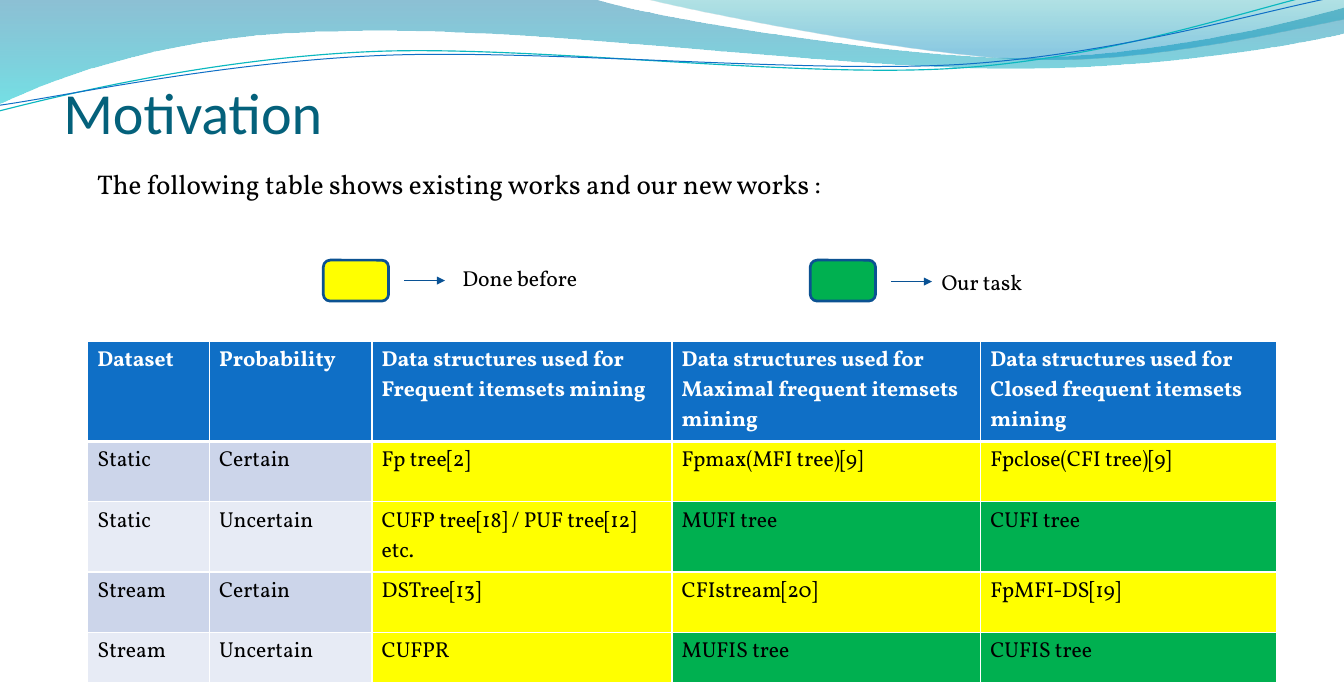
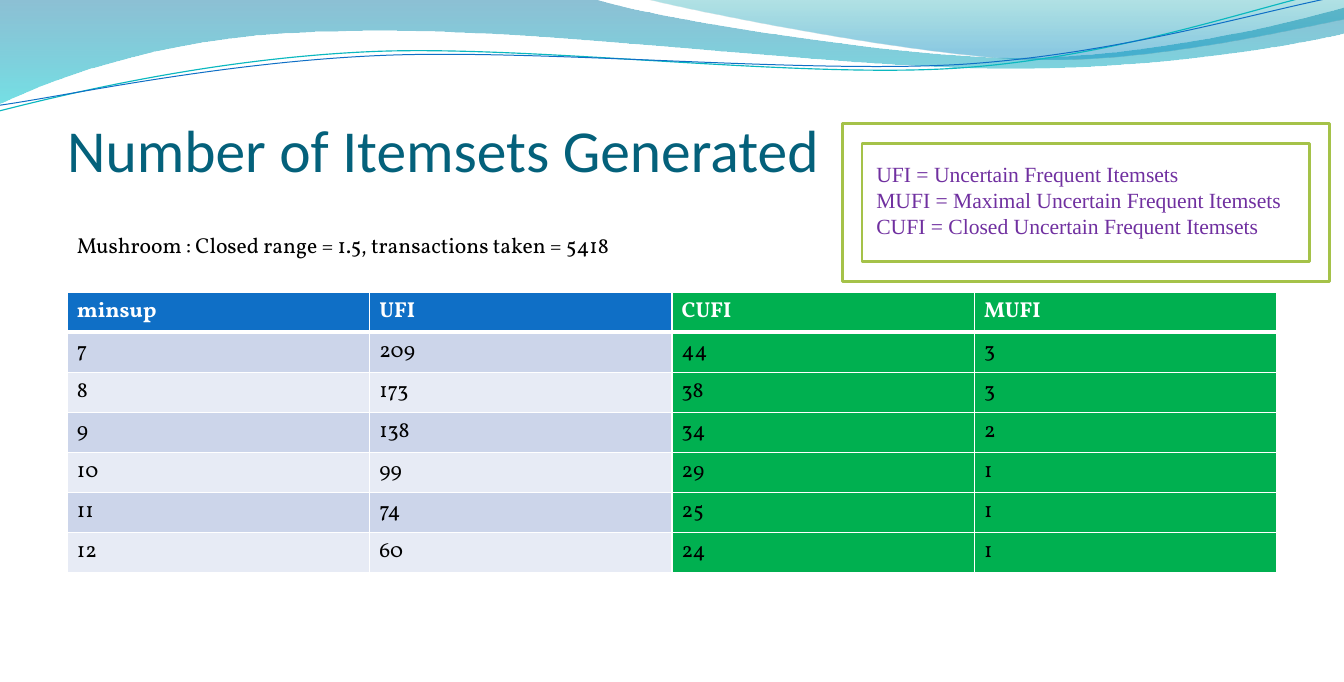
import lxml.etree
import pptx
import pptx.util
from pptx.dml.color import RGBColor
from pptx.enum.shapes import MSO_CONNECTOR, MSO_SHAPE
from pptx.enum.text import MSO_ANCHOR, MSO_AUTO_SIZE
from pptx.oxml.ns import qn

PX = 9144  # 100 px to the inch
SLIDE_W, SLIDE_H = 1380, 700

WHITE = RGBColor(0xFF, 0xFF, 0xFF)
BLACK = RGBColor(0x00, 0x00, 0x00)
TITLE_TEAL = RGBColor(0x04, 0x61, 0x7B)
HEADER_BLUE = RGBColor(0x0F, 0x6F, 0xC6)
WAVE_TEAL = RGBColor(0x0A, 0xB8, 0xBF)
BAND_BLUE = RGBColor(0x00, 0x74, 0xA1)
BAND_CYAN = RGBColor(0x00, 0xC6, 0xCF)
CORNER_TEAL = RGBColor(0x00, 0xA1, 0xA9)
CORNER_BLUE = RGBColor(0x00, 0x8B, 0xBF)
ROW_DARK = RGBColor(0xCC, 0xD5, 0xEA)
ROW_LIGHT = RGBColor(0xE7, 0xEB, 0xF5)
DONE_YELLOW = RGBColor(0xFF, 0xFF, 0x00)
TASK_GREEN = RGBColor(0x00, 0xB0, 0x50)
SWATCH_EDGE = RGBColor(0x0B, 0x52, 0x92)
ARROW_BLUE = RGBColor(0x09, 0x52, 0x95)
FRAME_GREEN = RGBColor(0xA5, 0xC2, 0x49)
PURPLE = RGBColor(0x70, 0x30, 0xA0)

TITLE_FONT, BODY_FONT, KEY_FONT = "Calibri", "Vollkorn", "Times New Roman"

# Outlines: a start point, then lines (one point) and Bézier curves (three points).
WIDE_BAND = [
    [(0, 0)],
    [(608, -1)],
    [(656, 16), (916, 59), (1047, 59)],
    [(1177, 59), (1323, 24), (1380, 8)],
    [(1381, 34)],
    [(1357, 41), (1200, 71), (1029, 70)],
    [(858, 70), (527, 26), (355, 32)],
    [(178, 33), (63, 77), (-1, 106)],
    [(0, 0)],
]
CORNER_BAND = [
    [(661, -1)],
    [(703, 10), (941, 58), (1061, 61)],
    [(1181, 64), (1327, 30), (1380, 20)],
    [(1380, 0)],
    [(661, -1)],
]
TEAL_WAVE = [
    [(-1, 114)],
    [(66, 97), (218, 60), (382, 53)],
    [(546, 46), (817, 81), (983, 70)],
    [(1149, 59), (1295, 5), (1378, -12)],
]
BLUE_WAVE = [
    [(0, 108)],
    [(65, 99), (226, 64), (391, 57)],
    [(556, 50), (824, 76), (989, 66)],
    [(1154, 55), (1299, 10), (1381, -5)],
]

WORKS = [
    ["Dataset", "Probability", "Data structures used for Frequent itemsets mining",
     "Data structures used for Maximal frequent itemsets mining",
     "Data structures used for Closed frequent itemsets mining"],
    ["Static", "Certain", "Fp tree[2]", "Fpmax(MFI tree)[9]", "Fpclose(CFI tree)[9]"],
    ["Static", "Uncertain", "CUFP tree[18] / PUF tree[12] etc.", "MUFI tree", "CUFI tree"],
    ["Stream", "Certain", "DSTree[13]", "CFIstream[20]", "FpMFI-DS[19]"],
    ["Stream", "Uncertain", "CUFPR", "MUFIS tree", "CUFIS tree"],
]
ITEMSET_COUNTS = [
    ["minsup", "UFI", "CUFI", "MUFI"],
    [7, 209, 44, 3],
    [8, 173, 38, 3],
    [9, 138, 34, 2],
    [10, 99, 29, 1],
    [11, 74, 25, 1],
    [12, 60, 24, 1],
]
ABBREVIATIONS = [
    "UFI = Uncertain Frequent Itemsets",
    "MUFI = Maximal Uncertain Frequent Itemsets",
    "CUFI = Closed Uncertain Frequent Itemsets",
]


def px(*lengths):
    return [pptx.util.Emu(round(length * PX)) for length in lengths]


def add_outline(slide, outline, closed):
    """Draw the outline through all its points, then turn each triple into a curve."""
    (start,), *segments = outline
    builder = slide.shapes.build_freeform(*px(*start))
    builder.add_line_segments([px(*point) for segment in segments for point in segment],
                              close=closed)
    shape = builder.convert_to_shape()
    shape.shadow.inherit = False
    steps = iter(list(shape._element.spPr.iter(qn("a:lnTo"))))
    for segment in segments:
        first, *others = [next(steps) for _ in segment]
        if others:
            curve = lxml.etree.SubElement(first.getparent(), qn("a:cubicBezTo"))
            first.addprevious(curve)
            for step in (first, *others):
                curve.append(step[0])
                step.getparent().remove(step)
    return shape


def add_band(slide, outline, stops):
    """Fill the outline from top to bottom; stops are (position, colour, opacity %)."""
    band = add_outline(slide, outline, closed=True)
    band.line.fill.background()
    band.fill.gradient()
    band.fill.gradient_angle = 270
    for stop, (position, colour, _) in zip(band.fill.gradient_stops, stops):
        stop.position = position
        stop.color.rgb = colour
    for tint, (_, _, opacity) in zip(band._element.spPr.iter(qn("a:srgbClr")), stops):
        lxml.etree.SubElement(tint, qn("a:alpha"), val=str(opacity * 1000))


def add_wave(slide, outline, colour, width):
    wave = add_outline(slide, outline, closed=False)
    wave.fill.background()
    wave.line.color.rgb = colour
    wave.line.width = pptx.util.Pt(width)


def style_run(paragraph, text, size, font, colour, bold=False):
    run = paragraph.add_run()
    run.text = str(text)
    run.font.size = pptx.util.Pt(size)
    run.font.name = font
    run.font.bold = bold
    run.font.color.rgb = colour


def add_text(slide, box, lines, size=16, font=BODY_FONT, colour=BLACK):
    frame = slide.shapes.add_textbox(*px(*box)).text_frame
    frame.word_wrap = True
    frame.auto_size = MSO_AUTO_SIZE.SHAPE_TO_FIT_TEXT
    paragraph = frame.paragraphs[0]
    for index, line in enumerate(lines):
        if index:
            paragraph.add_line_break()
        style_run(paragraph, line, size, font, colour)
    return frame


def add_preset(slide, preset, box, fill, edge):
    shape = slide.shapes.add_shape(preset, *px(*box))
    shape.shadow.inherit = False
    shape.fill.solid()
    shape.fill.fore_color.rgb = fill
    shape.line.color.rgb = edge
    shape.line.width = pptx.util.Pt(2)


def add_arrow(slide, left, top, length):
    arrow = slide.shapes.add_connector(MSO_CONNECTOR.STRAIGHT,
                                       *px(left, top, left + length, top))
    arrow.line.color.rgb = ARROW_BLUE
    arrow.line.width = pptx.util.Pt(0.75)
    properties = arrow._element.spPr
    lxml.etree.SubElement(properties.find(qn("a:ln")), qn("a:tailEnd"), type="triangle")
    lxml.etree.SubElement(properties, qn("a:effectLst"))


def add_borders(cell, row):
    """Draw thin white borders, with a thick one between header and body."""
    properties = cell._tc.get_or_add_tcPr()
    widths = {"L": 1, "R": 1, "T": 3 if row == 1 else 1, "B": 3 if row == 0 else 1}
    for side, width in widths.items():
        line = lxml.etree.SubElement(properties, qn(f"a:ln{side}"),
                                     w=str(pptx.util.Pt(width)))
        fill = lxml.etree.SubElement(line, qn("a:solidFill"))
        lxml.etree.SubElement(fill, qn("a:srgbClr"), val=str(WHITE))


def add_grid(slide, left, top, widths, row_height, rows, highlight):
    """Add a banded table; highlight(row, column) gives a cell its own fill, or None."""
    box = px(left, top, sum(widths), row_height * len(rows))
    table = slide.shapes.add_table(len(rows), len(widths), *box).table
    for column, width in zip(table.columns, px(*widths)):
        column.width = width
    for r, values in enumerate(rows):
        header = r == 0
        banding = HEADER_BLUE if header else ROW_DARK if r % 2 else ROW_LIGHT
        for c, value in enumerate(values):
            cell = table.cell(r, c)
            add_borders(cell, r)
            cell.fill.solid()
            cell.fill.fore_color.rgb = highlight(r, c) or banding
            style_run(cell.text_frame.paragraphs[0], value, 16, BODY_FONT,
                      WHITE if header else BLACK, bold=header)


def add_titled_slide(deck, title, left, top, size):
    slide = deck.slides.add_slide(deck.slide_layouts[6])
    add_band(slide, WIDE_BAND, [(0, BAND_BLUE, 45), (1, BAND_CYAN, 55)])
    add_band(slide, CORNER_BAND, [(0, CORNER_TEAL, 30), (0.8, CORNER_BLUE, 45)])
    add_wave(slide, TEAL_WAVE, WAVE_TEAL, 0.85)
    add_wave(slide, BLUE_WAVE, HEADER_BLUE, 0.75)
    frame = add_text(slide, (left, top, 1242, 117), [title], size, TITLE_FONT, TITLE_TEAL)
    frame.auto_size = MSO_AUTO_SIZE.NONE
    frame.vertical_anchor = MSO_ANCHOR.BOTTOM
    frame.margin_left = frame.margin_right = frame.margin_bottom = 0
    frame.margin_top = px(4)[0]
    return slide


def add_legend_entry(slide, left, top, fill, label, arrow_drop, label_shift):
    """Place swatch, arrow and label; label_shift is the label's offset from the corner."""
    add_preset(slide, MSO_SHAPE.ROUNDED_RECTANGLE, (left, top, 67, 42), fill, SWATCH_EDGE)
    add_arrow(slide, left + 83, top + arrow_drop, 42)
    add_text(slide, (left + label_shift[0], top + label_shift[1], 208, 37), [label])


def add_abbreviation_key(slide, left, top):
    add_preset(slide, MSO_SHAPE.FRAME, (left, top, 500, 162), WHITE, FRAME_GREEN)
    add_text(slide, (left + 25, top + 33, 690, 91), ABBREVIATIONS,
             font=KEY_FONT, colour=PURPLE)


def work_fill(row, column):
    if row == 0 or column < 2:
        return None
    ours = column > 2 and WORKS[row][1] == "Uncertain"
    return TASK_GREEN if ours else DONE_YELLOW


def count_fill(row, column):
    return TASK_GREEN if column >= 2 else None


def build_motivation(deck):
    slide = add_titled_slide(deck, "Motivation", 65, 33, 43)
    add_grid(slide, 90, 350, [125, 167, 308, 317, 304], 62, WORKS, work_fill)
    add_legend_entry(slide, 332, 267, DONE_YELLOW, "Done before", 21, (133, 0))
    add_legend_entry(slide, 832, 267, TASK_GREEN, "Our task", 22, (125, 4))
    add_text(slide, (90, 167, 1217, 44),
             ["The following table shows existing works and our new works :"], size=20)


def build_itemset_counts(deck):
    slide = add_titled_slide(deck, "Number of Itemsets Generated", 69, 72, 44)
    columns = len(ITEMSET_COUNTS[0])
    add_grid(slide, 69, 300, [1242 / columns] * columns, 41, ITEMSET_COUNTS, count_fill)
    add_text(slide, (69, 233, 871, 37),
             ["Mushroom : Closed range = 1.5, transactions taken = 5418"])
    add_abbreviation_key(slide, 865, 127)


def main():
    deck = pptx.Presentation()
    deck.slide_width, deck.slide_height = px(SLIDE_W, SLIDE_H)
    build_motivation(deck)
    build_itemset_counts(deck)
    deck.save("out.pptx")


if __name__ == "__main__":
    main()
